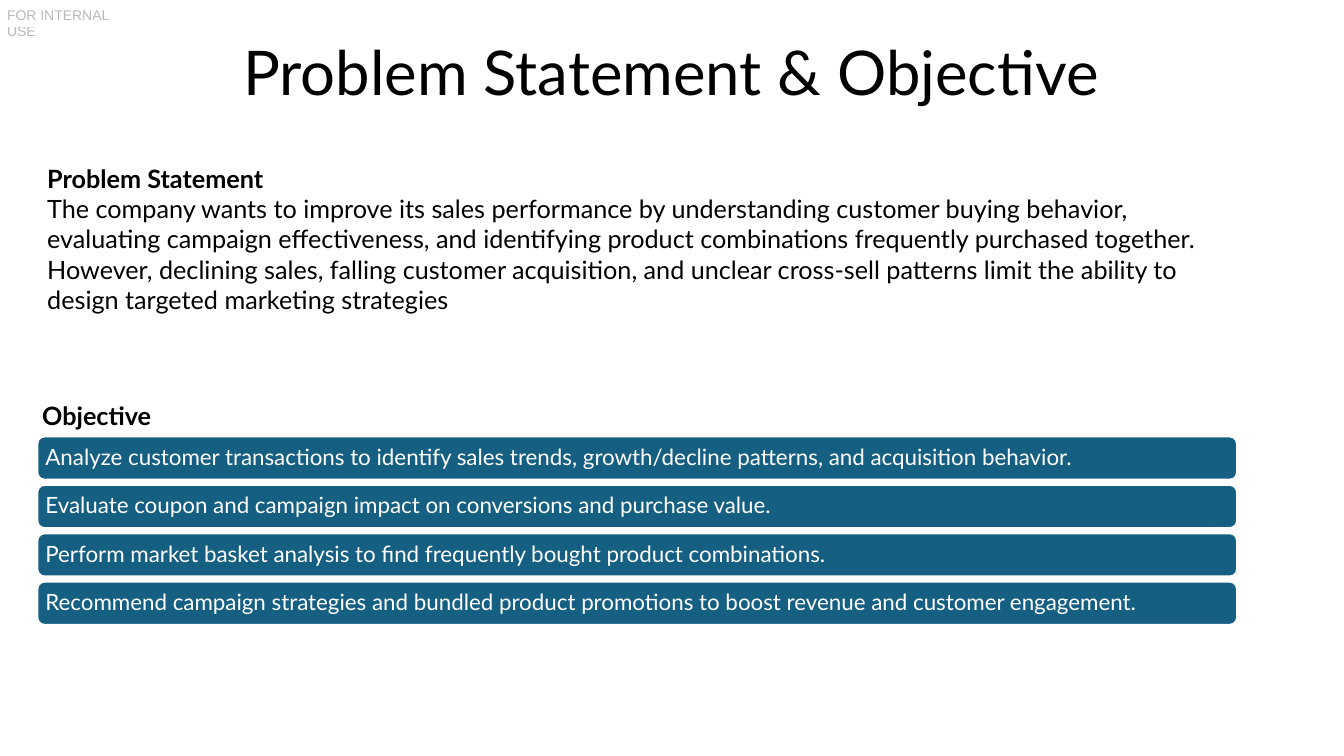
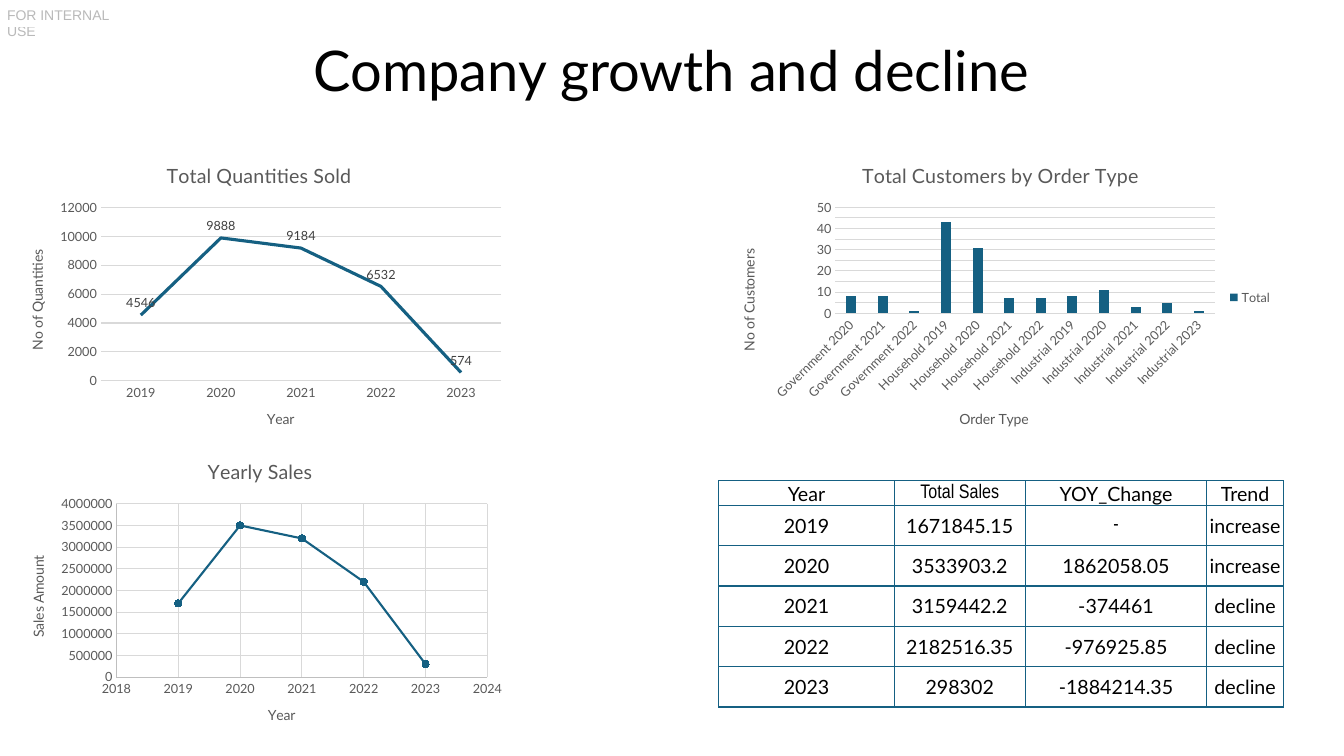
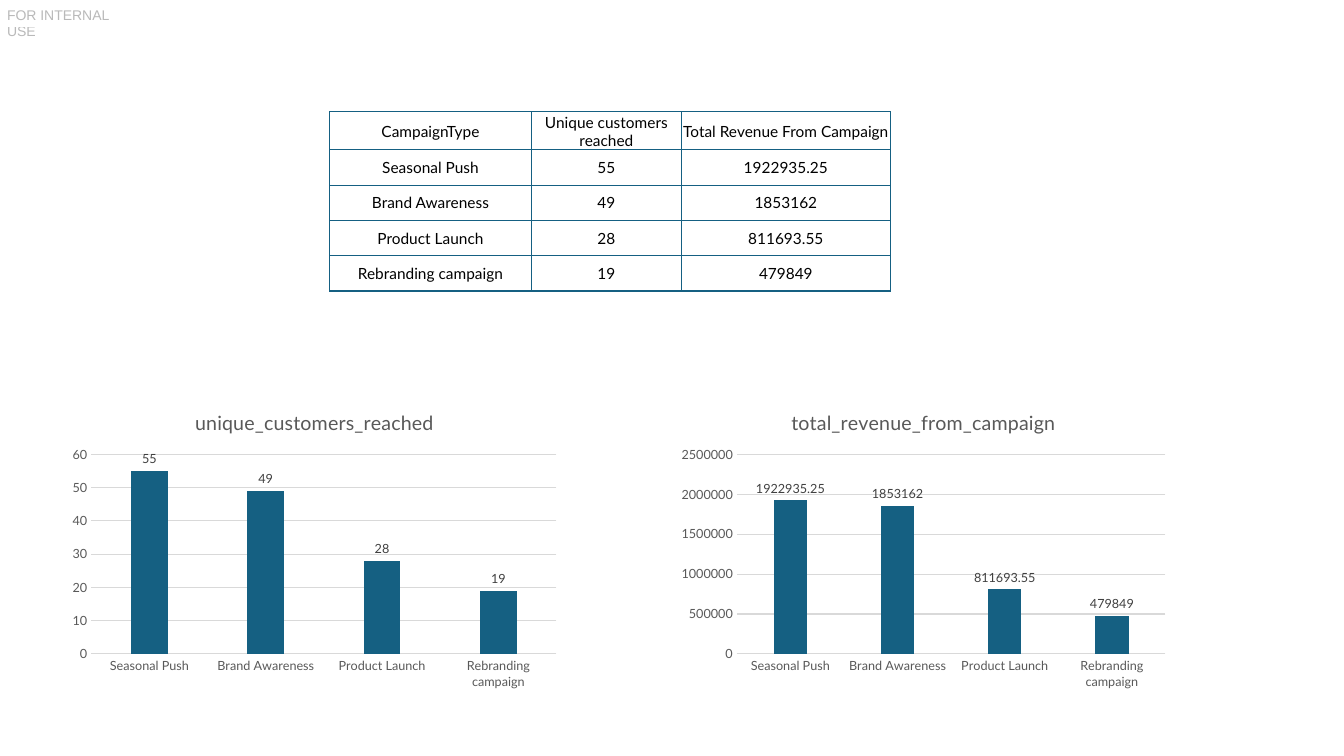
from lxml import etree
from pptx import Presentation
from pptx.chart.data import CategoryChartData, XyChartData
from pptx.dml.color import RGBColor
from pptx.enum.chart import (XL_CHART_TYPE, XL_LABEL_POSITION, XL_LEGEND_POSITION,
                             XL_MARKER_STYLE, XL_TICK_MARK)
from pptx.enum.shapes import MSO_SHAPE
from pptx.enum.text import MSO_ANCHOR, PP_ALIGN
from pptx.oxml.ns import qn
from pptx.util import Inches, Pt

LINE, SCATTER, COLUMN = (XL_CHART_TYPE.LINE, XL_CHART_TYPE.XY_SCATTER_LINES,
                         XL_CHART_TYPE.COLUMN_CLUSTERED)
ABOVE, OUTSIDE = XL_LABEL_POSITION.ABOVE, XL_LABEL_POSITION.OUTSIDE_END
RIGHT, CIRCLE, NO_TICK = XL_LEGEND_POSITION.RIGHT, XL_MARKER_STYLE.CIRCLE, XL_TICK_MARK.NONE
ROUNDED, MIDDLE = MSO_SHAPE.ROUNDED_RECTANGLE, MSO_ANCHOR.MIDDLE
LEFT, CENTER = PP_ALIGN.LEFT, PP_ALIGN.CENTER

FONT, NARROW = "Lato", "Arial Narrow"
BLUE, BLACK, WHITE = "156082", "000000", "FFFFFF"
GREY, LABEL_GREY, GRID, AXIS_GREY = "595959", "404040", "D9D9D9", "BFBFBF"

MARKING = "FOR INTERNAL USE"
PROBLEM = [
    ("Problem Statement", True),
    ("The company wants to improve its sales performance by understanding customer buying "
     "behavior, evaluating campaign effectiveness, and identifying product combinations "
     "frequently purchased together. However, declining sales, falling customer acquisition, "
     "and unclear cross-sell patterns limit the ability to design targeted marketing "
     "strategies", False),
]
OBJECTIVES = [
    "Analyze customer transactions to identify sales trends, growth/decline patterns, "
    "and acquisition behavior.",
    "Evaluate coupon and campaign impact on conversions and purchase value.",
    "Perform market basket analysis to find frequently bought product combinations.",
    "Recommend campaign strategies and bundled product promotions to boost revenue "
    "and customer engagement.",
]
SALES_ROWS = [
    ("Year", "Total Sales", "YOY_Change", "Trend"),
    ("2019", "1671845.15", "-", "increase"),
    ("2020", "3533903.2", "1862058.05", "increase"),
    ("2021", "3159442.2", "-374461", "decline"),
    ("2022", "2182516.35", "-976925.85", "decline"),
    ("2023", "298302", "-1884214.35", "decline"),
]
NARROW_CELLS = ("Total Sales", "-")
YEARLY_SALES = {2019: 1700000, 2020: 3500000, 2021: 3200000, 2022: 2200000, 2023: 300000}
QUANTITIES = {"2019": 4546, "2020": 9888, "2021": 9184, "2022": 6532, "2023": 574}
CUSTOMERS = {
    "Government 2020": 8, "Government 2021": 8, "Government 2022": 1,
    "Household 2019": 43, "Household 2020": 31, "Household 2021": 7, "Household 2022": 7,
    "Industrial 2019": 8, "Industrial 2020": 11, "Industrial 2021": 3,
    "Industrial 2022": 5, "Industrial 2023": 1,
}
CAMPAIGN_ROWS = [
    ("CampaignType", "Unique customers reached", "Total Revenue From Campaign"),
    ("Seasonal Push", "55", "1922935.25"),
    ("Brand Awareness", "49", "1853162"),
    ("Product Launch", "28", "811693.55"),
    ("Rebranding campaign", "19", "479849"),
]
CAMPAIGN_CHARTS = [("unique_customers_reached", 1, 0.62),
                   ("total_revenue_from_campaign", 2, 6.66)]


def rgb(value):
    return RGBColor.from_string(value)


def box(*lengths):
    return [Inches(v) for v in lengths]


def set_font(font, size, color=BLACK, name=FONT, bold=False):
    for key, value in {"size": Pt(size), "name": name, "bold": bold}.items():
        setattr(font, key, value)
    font.color.rgb = rgb(color)


def set_line(line, color, width=0.75):
    if color is None:
        line.fill.background()
    else:
        line.color.rgb = rgb(color)
        line.width = Pt(width)


def write(tf, paragraphs, size, align=LEFT, spacing=None, **font):
    """Fill a text frame with (text, bold) paragraphs."""
    tf.word_wrap = True
    for i, (text, bold) in enumerate(paragraphs):
        p = tf.add_paragraph() if i else tf.paragraphs[0]
        p.alignment, p.line_spacing = align, spacing
        r = p.add_run()
        r.text = text
        set_font(r.font, size, bold=bold, **font)
    return tf


def set_margins(target, left, top, right, bottom):
    for side, value in zip(("left", "top", "right", "bottom"), (left, top, right, bottom)):
        setattr(target, f"margin_{side}", Inches(value))


def add_text(s, place, paragraphs, size, **options):
    return write(s.shapes.add_textbox(*box(*place)).text_frame, paragraphs, size, **options)


def add_title(s, text, top, size):
    tf = add_text(s, (0.91, top, 11.5, 1.45), [(text, False)], size, align=CENTER, spacing=0.9)
    tf.vertical_anchor = MIDDLE


def new_slide(prs):
    """Add a blank slide with the half-transparent marking in its corner."""
    s = prs.slides.add_slide(prs.slide_layouts[6])
    tf = add_text(s, (0.07, 0.06, 1.22, 0.17), [(MARKING, False)], 10,
                  color="747474", name="Arial")
    set_margins(tf, 0, 0, 0, 0)
    color = next(tf.paragraphs[0].runs[0].font.fill._xPr.iter(qn("a:srgbClr")))
    etree.SubElement(color, qn("a:alpha"), val="50000")
    return s


def add_bar(s, text, top):
    bar = s.shapes.add_shape(ROUNDED, *box(0.37, top, 11.9, 0.43))
    bar.shadow.inherit = False
    bar.fill.solid()
    bar.fill.fore_color.rgb = rgb(BLUE)
    set_line(bar.line, WHITE, 1.5)
    tf = write(bar.text_frame, [(text, False)], 16, spacing=0.9, color=WHITE)
    tf.vertical_anchor = MIDDLE
    set_margins(tf, 0.06, 0.07, 0.06, 0.07)


def add_borders(cell):
    tc_pr = cell._tc.get_or_add_tcPr()
    for i, side in enumerate(("lnL", "lnR", "lnT", "lnB")):
        ln = etree.Element(qn(f"a:{side}"), w=str(Pt(1)))
        fill = etree.SubElement(ln, qn("a:solidFill"))
        etree.SubElement(fill, qn("a:srgbClr"), val=BLUE)
        tc_pr.insert(i, ln)


def add_table(s, rows, left, top, widths, heights, size):
    """Draw a bordered table; heights holds the header and the body row height."""
    head, body = heights
    total = head + body * (len(rows) - 1)
    table = s.shapes.add_table(len(rows), len(widths),
                               *box(left, top, sum(widths), total)).table
    table.first_row = table.horz_banding = False
    for column, width in zip(table.columns, widths):
        column.width = Inches(width)
    for i, values in enumerate(rows):
        table.rows[i].height = Inches(body if i else head)
        for j, text in enumerate(values):
            cell = table.cell(i, j)
            cell.fill.background()
            cell.vertical_anchor = MIDDLE
            set_margins(cell, 0.01, *((0.08, 0.01, 0.08) if i else (0.01, 0.01, 0)))
            write(cell.text_frame, [(text, False)], size, align=CENTER,
                  name=NARROW if text in NARROW_CELLS else FONT)
            add_borders(cell)


def style_axis(axis, title, line, grid):
    axis.major_tick_mark = axis.minor_tick_mark = NO_TICK
    set_font(axis.tick_labels.font, 9, GREY)
    set_line(axis.format.line, line)
    axis.has_major_gridlines = bool(grid)
    if grid:
        set_line(axis.major_gridlines.format.line, grid)
    axis.has_title = bool(title)
    if title:
        write(axis.axis_title.text_frame, [(title, False)], 10, color=GREY)


def add_chart(s, kind, data, place, title, x_title=None, y_title=None, label_position=None):
    chart = s.shapes.add_chart(kind, *box(*place), data).chart
    set_font(chart.font, 10)
    chart.has_legend = False
    chart.has_title = True
    write(chart.chart_title.text_frame, [(title, False)], 14, color=GREY)
    scatter = kind == SCATTER
    style_axis(chart.category_axis, x_title, AXIS_GREY if scatter else GRID,
               GRID if scatter else None)
    style_axis(chart.value_axis, y_title, AXIS_GREY if scatter else None, GRID)

    plot = chart.plots[0]
    plot.vary_by_categories = False
    series = plot.series[0]
    if kind == COLUMN:
        plot.gap_width, plot.overlap = 219, -27
        series.format.fill.solid()
        series.format.fill.fore_color.rgb = rgb(BLUE)
    else:
        series.smooth = False
        set_line(series.format.line, BLUE, 1.5 if scatter else 2.25)
    if scatter:
        series.marker.style, series.marker.size = CIRCLE, 5
        series.marker.format.fill.solid()
        series.marker.format.fill.fore_color.rgb = rgb(BLUE)
        set_line(series.marker.format.line, BLUE)
    if label_position is not None:
        labels = series.data_labels
        labels.show_value, labels.position = True, label_position
        set_font(labels.font, 9, LABEL_GREY)
    return chart


def category_data(name, values):
    data = CategoryChartData()
    data.categories = list(values)
    data.add_series(name, list(values.values()))
    return data


def problem_slide(prs):
    s = new_slide(prs)
    add_title(s, "Problem Statement & Objective", 0.02, 44)
    add_text(s, (0.37, 1.57, 11.9, 1.62), PROBLEM, 18)
    for i, text in enumerate(OBJECTIVES):
        add_bar(s, text, 4.33 + 0.48 * i)
    add_text(s, (0.32, 3.92, 2.67, 0.4), [("Objective", True)], 18)


def growth_slide(prs):
    s = new_slide(prs)
    add_title(s, "Company growth and decline", 0, 40)
    add_chart(s, LINE, category_data("Quantities", QUANTITIES), (0.07, 1.45, 5, 3),
              "Total Quantities Sold", "Year", "No of Quantities", ABOVE)

    sales = XyChartData()
    points = sales.add_series("Sales")
    for year, amount in YEARLY_SALES.items():
        points.add_data_point(year, amount)
    chart = add_chart(s, SCATTER, sales, (0.08, 4.39, 5, 3),
                      "Yearly Sales", "Year", "Sales Amount")
    chart.category_axis.minimum_scale, chart.category_axis.maximum_scale = 2018, 2024
    chart.category_axis.major_unit = 1

    chart = add_chart(s, COLUMN, category_data("Total", CUSTOMERS), (7.13, 1.45, 5.59, 3),
                      "Total Customers by Order Type", "Order Type", "No of Customers")
    chart.value_axis.maximum_scale, chart.value_axis.major_unit = 50, 5
    for body in chart.element.xpath(".//c:catAx/c:txPr/a:bodyPr"):
        body.set("rot", "-2700000")
    chart.has_legend = True
    chart.legend.position, chart.legend.include_in_layout = RIGHT, False
    set_font(chart.legend.font, 9, GREY)

    add_table(s, SALES_ROWS, 7.13, 4.77, (1.74, 1.3, 1.8, 0.76), (0.24, 0.4), 14)


def campaign_slide(prs):
    s = new_slide(prs)
    add_table(s, CAMPAIGN_ROWS, 3.27, 1.11, (2, 1.49, 2.07), (0.37, 0.35), 11)
    for name, column, left in CAMPAIGN_CHARTS:
        values = {row[0]: float(row[column]) for row in CAMPAIGN_ROWS[1:]}
        add_chart(s, COLUMN, category_data(name, values), (left, 3.9, 5, 3), name,
                  label_position=OUTSIDE)


def main():
    prs = Presentation()
    prs.slide_width, prs.slide_height = box(13.33, 7.5)
    for build in (problem_slide, growth_slide, campaign_slide):
        build(prs)
    prs.save("out.pptx")


if __name__ == "__main__":
    main()
